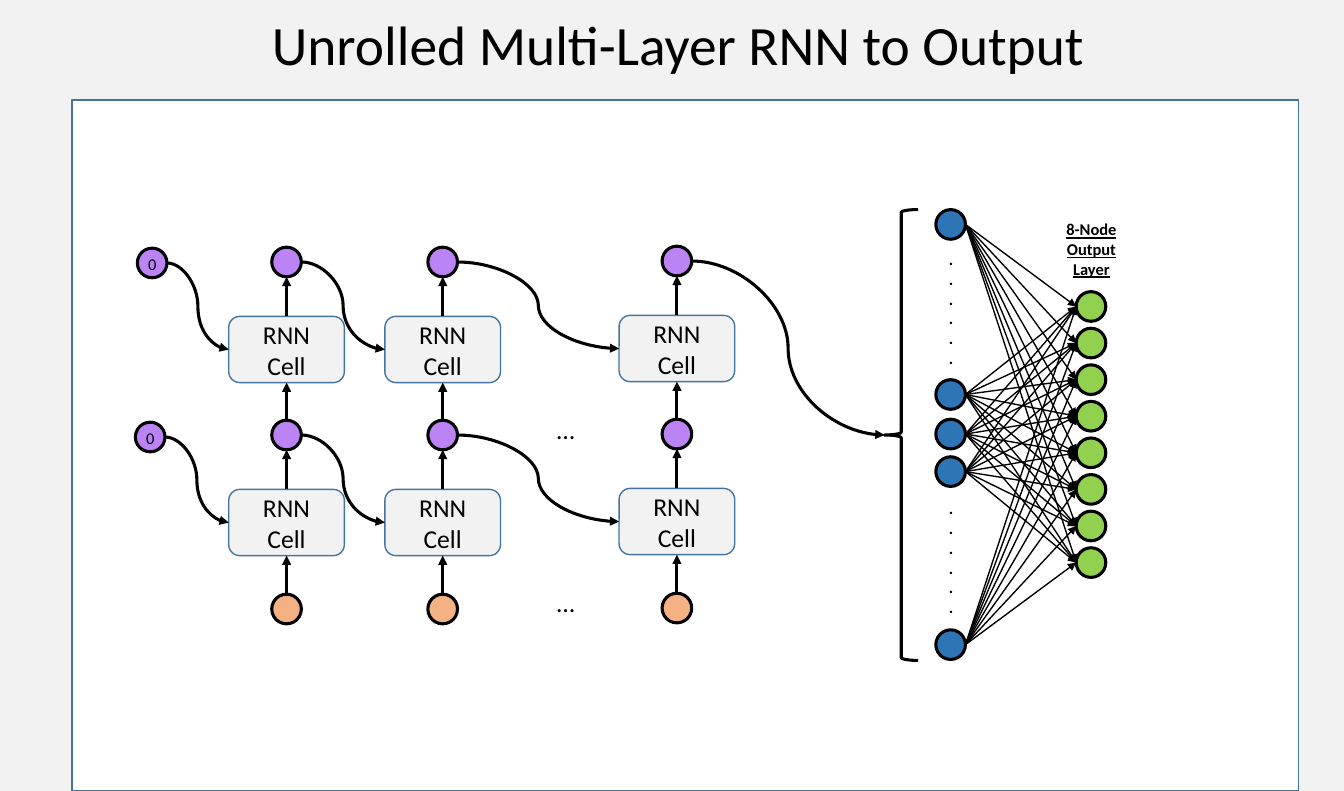
from dataclasses import dataclass

import pptx
import pptx.dml.color
import pptx.enum.shapes
import pptx.enum.text
import pptx.oxml
import pptx.oxml.ns
import pptx.util
from pptx.util import Inches

SHAPE = pptx.enum.shapes.MSO_SHAPE
STRAIGHT = pptx.enum.shapes.MSO_CONNECTOR.STRAIGHT
CURVE = pptx.enum.shapes.MSO_CONNECTOR.CURVE
MIDDLE = pptx.enum.text.MSO_ANCHOR.MIDDLE
TOP = pptx.enum.text.MSO_ANCHOR.TOP

COLORS = {
    "background": "F2F2F2", "panel": "FFFFFF", "border": "43739E", "ink": "000000",
    "input": "F4B183", "state": "BC83F5", "hidden": "2E75B6", "output": "92D050",
}
FONT = "Calibri"
RADIUS = 0.15
CELL_WIDTH, CELL_HEIGHT = 1.17, 0.67
LAYER_PITCH = 1.75
STATE_RISE = 0.55   # cell top to centre of the state above it
INPUT_DROP = 1.21   # cell top to centre of the input below it
BRACE_TIP = (8.95, 4.4)
HIDDEN_X, OUTPUT_X = 9.62, 11.04
HIDDEN_YS = (2.27, 3.99, 4.39, 4.77, 6.52)
OUTPUT_YS = [3.1 + 0.37 * i for i in range(8)]


@dataclass
class TimeStep:
    center: float
    cell_top: float


@dataclass
class Label:
    text: str
    box: tuple[float, float, float, float]
    size: float
    bold: bool = False
    underline: bool = False
    wrap: bool = True
    anchor: pptx.enum.text.MSO_ANCHOR = TOP
    spacing: float = 1.0


STEPS = [TimeStep(2.9, 4.95), TimeStep(4.48, 4.95), TimeStep(6.85, 4.94)]
ZERO_STATES = [(1.52, 4.42), (1.54, 2.66)]
DOTS = "\n".join("." * 6)
LABELS = [
    Label("Unrolled Multi-Layer RNN to Output", (1, 0.11, 11.73, 0.74), 40.4,
          anchor=MIDDLE, spacing=0.9),
    Label("…", (5.51, 5.89, 0.43, 0.41), 18.7, wrap=False),
    Label("…", (5.51, 4.14, 0.43, 0.41), 18.7, wrap=False),
    Label("8-Node Output Layer", (10.56, 2.17, 0.97, 0.71), 12, bold=True, underline=True),
    Label(DOTS, (9.45, 2.47, 0.35, 1.31), 12, bold=True),
    Label(DOTS, (9.45, 4.99, 0.35, 1.31), 12, bold=True),
]


def rgb(name: str) -> pptx.dml.color.RGBColor:
    return pptx.dml.color.RGBColor.from_string(COLORS[name])


def write(frame, label: Label) -> None:
    frame.text = label.text
    frame.word_wrap = label.wrap
    frame.vertical_anchor = label.anchor
    for paragraph in frame.paragraphs:
        paragraph.alignment = pptx.enum.text.PP_ALIGN.CENTER
        paragraph.line_spacing = label.spacing
        for run in paragraph.runs:
            run.font.name = FONT
            run.font.size = pptx.util.Pt(label.size)
            run.font.bold = label.bold
            run.font.underline = label.underline
            run.font.color.rgb = rgb("ink")


def draw_label(slide, label: Label) -> None:
    write(slide.shapes.add_textbox(*map(Inches, label.box)).text_frame, label)


def draw_shape(slide, kind, box, fill: str | None, line: str, weight: float):
    shape = slide.shapes.add_shape(kind, *map(Inches, box))
    shape.shadow.inherit = False
    if fill is None:
        shape.fill.background()
    else:
        shape.fill.solid()
        shape.fill.fore_color.rgb = rgb(fill)
    shape.line.color.rgb = rgb(line)
    shape.line.width = pptx.util.Pt(weight)
    return shape


def draw_node(slide, x: float, y: float, fill: str) -> None:
    """Draw a round node centred on x, y."""
    box = (x - RADIUS, y - RADIUS, 2 * RADIUS, 2 * RADIUS)
    draw_shape(slide, SHAPE.OVAL, box, fill, "ink", 2.25)


def draw_cell(slide, center: float, top: float) -> None:
    box = (center - CELL_WIDTH / 2, top, CELL_WIDTH, CELL_HEIGHT)
    cell = draw_shape(slide, SHAPE.ROUNDED_RECTANGLE, box, "background", "border", 1)
    write(cell.text_frame, Label("RNN Cell", box, 18.7, anchor=MIDDLE))


def draw_arrow(slide, start, end, kind=STRAIGHT, weight: float = 2.25) -> None:
    arrow = slide.shapes.add_connector(kind, *map(Inches, (*start, *end)))
    arrow.line.color.rgb = rgb("ink")
    arrow.line.width = pptx.util.Pt(weight)
    namespace = pptx.oxml.ns.nsdecls("a")
    arrow.line._get_or_add_ln().append(
        pptx.oxml.parse_xml(f'<a:tailEnd {namespace} type="triangle"/>'))
    arrow._element.spPr.append(pptx.oxml.parse_xml(f"<a:effectLst {namespace}/>"))


def draw_layer(slide, level: int) -> None:
    """Draw one recurrent layer, level 0 at the bottom, from its zero state rightwards."""
    x, y = ZERO_STATES[level]
    draw_node(slide, x, y, "state")
    draw_label(slide, Label("0", (x - 0.14, y - 0.14, 0.27, 0.3), 12, wrap=False))
    previous = (x + RADIUS, y)
    for step in STEPS:
        top = step.cell_top - level * LAYER_PITCH
        state_y, source_y = top - STATE_RISE, top + INPUT_DROP
        draw_cell(slide, step.center, top)
        draw_node(slide, step.center, state_y, "state")
        if level == 0:
            draw_node(slide, step.center, source_y, "input")
        draw_arrow(slide, (step.center, source_y - RADIUS), (step.center, top + CELL_HEIGHT))
        draw_arrow(slide, (step.center, top), (step.center, state_y + RADIUS))
        cell_side = (step.center - CELL_WIDTH / 2, top + CELL_HEIGHT / 2)
        draw_arrow(slide, previous, cell_side, CURVE)
        previous = (step.center + RADIUS, state_y)
    if level == len(ZERO_STATES) - 1:
        draw_arrow(slide, previous, BRACE_TIP, CURVE)


def draw_output_network(slide) -> None:
    draw_shape(slide, SHAPE.LEFT_BRACE, (BRACE_TIP[0], 2.12, 0.34, 4.56), None, "ink", 2.25)
    for y in HIDDEN_YS:
        draw_node(slide, HIDDEN_X, y, "hidden")
    for y in OUTPUT_YS:
        draw_node(slide, OUTPUT_X, y, "output")
        for hidden_y in HIDDEN_YS:
            draw_arrow(slide, (HIDDEN_X + RADIUS, hidden_y), (OUTPUT_X - RADIUS, y), weight=1)


def main() -> None:
    deck = pptx.Presentation()
    deck.slide_width, deck.slide_height = Inches(13.6), Inches(8)
    slide = deck.slides.add_slide(deck.slide_layouts[6])
    slide.background.fill.solid()
    slide.background.fill.fore_color.rgb = rgb("background")
    draw_shape(slide, SHAPE.RECTANGLE, (0.73, 1.01, 12.41, 6.99), "panel", "border", 1)
    for level in range(len(ZERO_STATES)):
        draw_layer(slide, level)
    draw_output_network(slide)
    for label in LABELS:
        draw_label(slide, label)
    deck.save("out.pptx")


if __name__ == "__main__":
    main()
